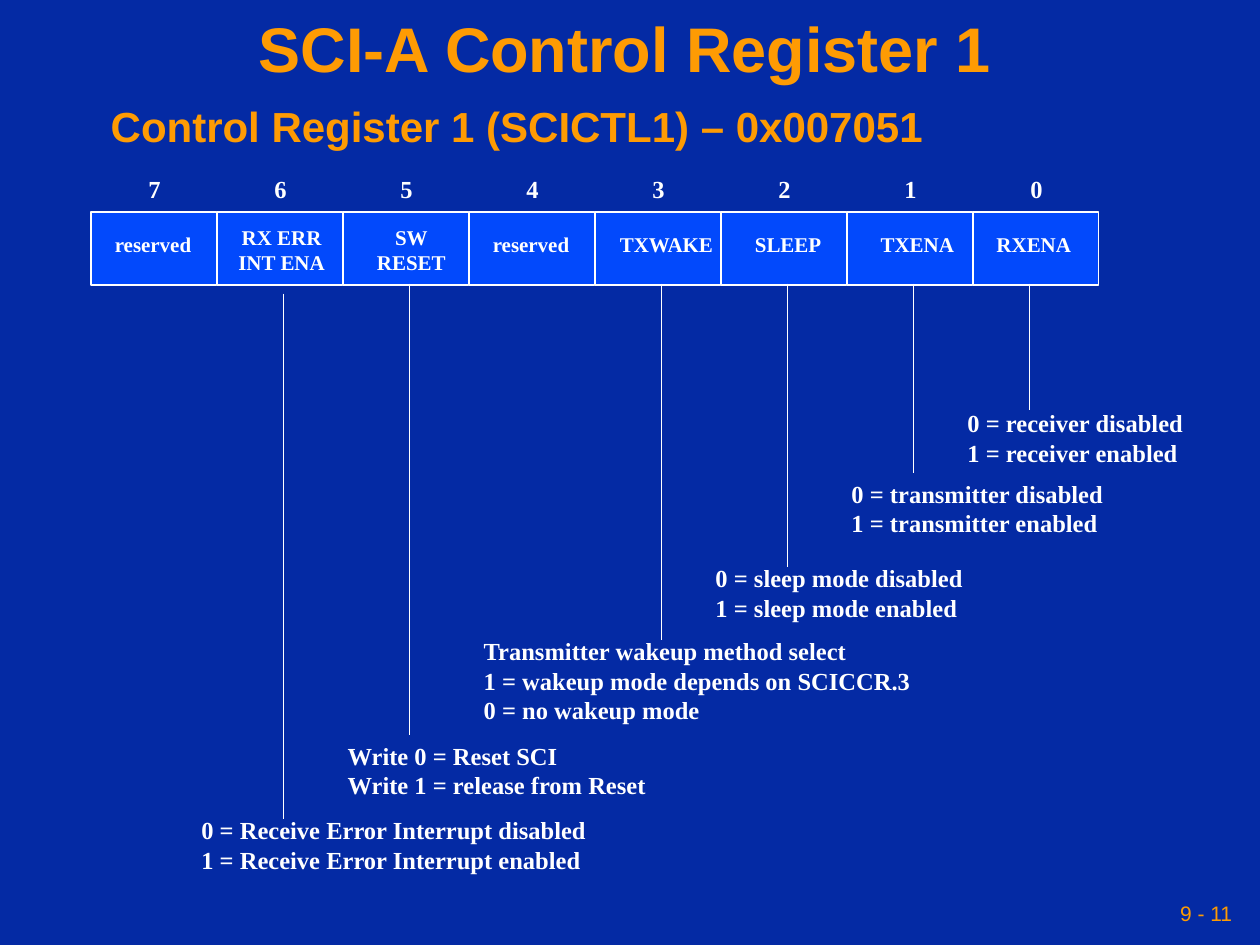
from lxml import etree
from pptx import Presentation
from pptx.dml.color import RGBColor
from pptx.enum.shapes import MSO_CONNECTOR, MSO_SHAPE
from pptx.enum.text import MSO_ANCHOR, MSO_AUTO_SIZE, PP_ALIGN
from pptx.oxml.ns import qn
from pptx.util import Inches, Pt

LEFT, MID, RIGHT = PP_ALIGN.LEFT, PP_ALIGN.CENTER, PP_ALIGN.RIGHT
TOP, CENTER = MSO_ANCHOR.TOP, MSO_ANCHOR.MIDDLE
FIXED, GROW = MSO_AUTO_SIZE.NONE, MSO_AUTO_SIZE.SHAPE_TO_FIT_TEXT
RECT, LINE = MSO_SHAPE.RECTANGLE, MSO_CONNECTOR.STRAIGHT

NAVY, BLUE, WHITE, GOLD = "042AA4", "0249FC", "FFFFFF", "FE9B03"
SANS, SERIF = "Arial", "Times New Roman"

# Register grid: eight columns, in inches
COL, ROW = 1, 0.58
GRID_X, GRID_Y = 0.72, 1.68
STEM_Y = 2.25

# Field name, shift of its box within the column, box width
FIELDS = [
    ("reserved", 0.09, 0.81),
    ("RX ERR\nINT ENA", 0.07, 0.89),
    ("SW\nRESET", 0.16, 0.77),
    ("reserved", 0.09, 0.81),
    ("TXWAKE", 0.09, 0.96),
    ("SLEEP", 0.17, 0.73),
    ("TXENA", 0.17, 0.78),
    ("RXENA", 0.09, 0.79),
]

# Stem x, stem top, stem end, then note left, top, width and text
NOTES = [
    (2.25, 2.33, 6.5, 1.5, 6.42, 3.26,
     "0 = Receive Error Interrupt disabled\n1 = Receive Error Interrupt enabled"),
    (3.25, STEM_Y, 5.83, 2.66, 5.83, 2.58,
     "Write 0 = Reset SCI\nWrite 1 = release from Reset"),
    (5.25, STEM_Y, 5.08, 3.74, 5, 3.59,
     "Transmitter wakeup method select\n"
     "1 = wakeup mode depends on SCICCR.3\n0 = no wakeup mode"),
    (6.25, STEM_Y, 4.5, 5.58, 4.42, 2.18,
     "0 = sleep mode disabled\n1 = sleep mode enabled"),
    (7.25, STEM_Y, 3.75, 6.66, 3.75, 2.2,
     "0 = transmitter disabled\n1 = transmitter enabled"),
    (8.17, STEM_Y, 3.25, 7.58, 3.19, 1.92,
     "0 = receiver disabled\n1 = receiver enabled"),
]


def color(code):
    return RGBColor.from_string(code)


def write(slide, text, x, y, w, h=None, size=14, font=SERIF, ink=WHITE,
          bold=True, align=LEFT, anchor=TOP, pad=0.1, lead=None):
    lines = text.split("\n")
    # Without a given height, the box fits its lines and never wraps
    fixed = h is not None
    h = h or 0.1 + len(lines) * size / 60
    box = slide.shapes.add_textbox(Inches(x), Inches(y), Inches(w), Inches(h))
    frame = box.text_frame
    frame.word_wrap = fixed
    frame.auto_size = FIXED if fixed else GROW
    frame.vertical_anchor = anchor
    frame.margin_left = frame.margin_right = Inches(pad)
    frame.margin_top = frame.margin_bottom = Inches(0.05)
    frame.text = text
    for para in frame.paragraphs:
        para.alignment = align
        if lead:
            para.line_spacing = lead
        para.font.size = Pt(size)
        para.font.name = font
        para.font.bold = bold
        para.font.color.rgb = color(ink)


def draw_cell(slide, col):
    cell = slide.shapes.add_shape(
        RECT, Inches(GRID_X + col * COL), Inches(GRID_Y),
        Inches(COL), Inches(ROW))
    cell.shadow.inherit = False
    cell.fill.solid()
    cell.fill.fore_color.rgb = color(BLUE)
    cell.line.color.rgb = color(WHITE)
    cell.line.width = Pt(1)


def draw_stem(slide, x, top, end):
    stem = slide.shapes.add_connector(
        LINE, Inches(x), Inches(top), Inches(x), Inches(end))
    stem.line.color.rgb = color(WHITE)
    stem.line.width = Pt(1)
    etree.SubElement(stem._element.spPr, qn("a:effectLst"))


def main():
    deck = Presentation()
    deck.slide_width, deck.slide_height = Inches(10), Inches(7.5)
    slide = deck.slides.add_slide(deck.slide_layouts[6])
    slide.background.fill.solid()
    slide.background.fill.fore_color.rgb = color(NAVY)

    # Page number, title and subtitle
    write(slide, "9 - 11", 6.83, 7.08, 3, 0.33, size=12, font=SANS, ink=GOLD,
          bold=False, align=RIGHT, anchor=CENTER, pad=0.05)
    write(slide, "SCI-A Control Register 1", 0, 0, 9.92, 0.83, size=36,
          font=SANS, ink=GOLD, align=MID, anchor=CENTER, lead=0.9)
    write(slide, "Control Register 1 (SCICTL1) – 0x007051", 0.78, 0.75, 6.68,
          size=24, font=SANS, ink=GOLD)

    # Register cells with bit numbers and field names
    for col in range(len(FIELDS)):
        draw_cell(slide, col)
    for col, (name, shift, width) in enumerate(FIELDS):
        x = GRID_X + col * COL
        y = 1.73 if "\n" in name else 1.79
        write(slide, str(len(FIELDS) - 1 - col), x + 0.36, 1.33, 0.3)
        write(slide, name, x + shift, y, width, size=12, align=MID)

    # Notes on stems below the fields
    for stem, top, end, x, y, width, text in NOTES:
        draw_stem(slide, stem, top, end)
        write(slide, text, x, y, width)

    deck.save("out.pptx")


if __name__ == "__main__":
    main()
